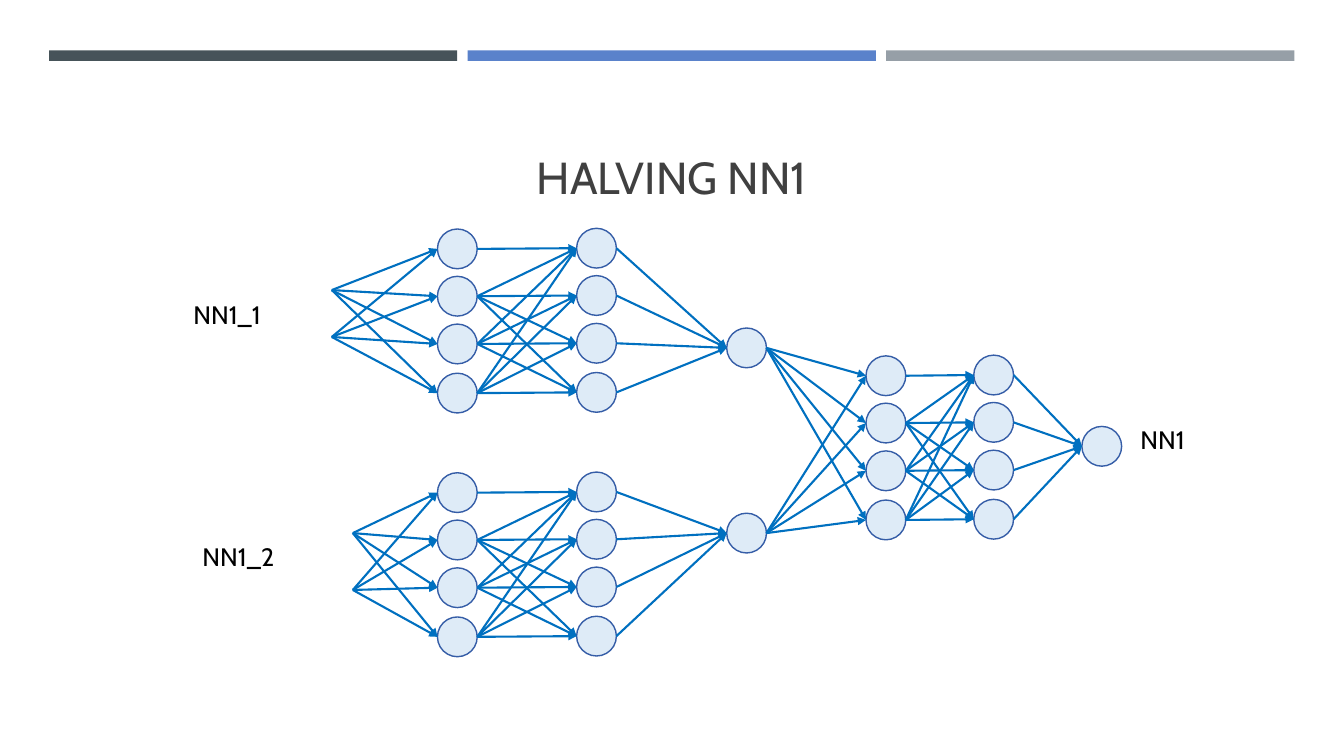
"""Builds a slide showing a neural network split into two half networks."""
from dataclasses import dataclass
from itertools import product

from lxml import etree
from pptx import Presentation
from pptx import util as u
from pptx.dml.color import RGBColor
from pptx.enum import shapes, text
from pptx.oxml.ns import qn


@dataclass(frozen=True)
class Theme:
    font: str = "Cabin"
    title_size: float = 32
    label_size: float = 18
    title_color: str = "404040"
    label_color: str = "000000"
    bars: tuple = ("465359", "5A82CB", "969FA7")
    node_fill: str = "DEEBF7"
    node_line: str = "355DA7"
    node_width: float = 1
    arrow_color: str = "0070C0"
    arrow_width: float = 1.5


@dataclass(frozen=True)
class Node:
    x: float
    y: float
    radius: float = 14.2


def rgb(value):
    return RGBColor.from_string(value)


def write_text(frame, content, *, font, size, color, align=text.PP_ALIGN.LEFT,
               anchor=text.MSO_ANCHOR.TOP):
    frame.word_wrap = True
    frame.auto_size = text.MSO_AUTO_SIZE.NONE
    frame.vertical_anchor = anchor
    paragraph = frame.paragraphs[0]
    paragraph.alignment = align
    run = paragraph.add_run()
    run.text = content
    run.font.name = font
    run.font.size = u.Pt(size)
    run.font.color.rgb = rgb(color)


class NetworkSlide:
    def __init__(self, slide, theme):
        self.slide = slide
        self.theme = theme

    def title(self, content, left, top, width, height):
        shape = self.slide.shapes.title
        shape.left, shape.top = u.Pt(left), u.Pt(top)
        shape.width, shape.height = u.Pt(width), u.Pt(height)
        write_text(shape.text_frame, content, font=self.theme.font,
                   size=self.theme.title_size, color=self.theme.title_color,
                   align=text.PP_ALIGN.CENTER, anchor=text.MSO_ANCHOR.BOTTOM)

    def label(self, content, left, top):
        shape = self.slide.shapes.add_textbox(
            u.Pt(left), u.Pt(top), u.Pt(70.5), u.Pt(29))
        write_text(shape.text_frame, content, font=self.theme.font,
                   size=self.theme.label_size, color=self.theme.label_color)

    def filled(self, kind, left, top, width, height, fill):
        shape = self.slide.shapes.add_shape(
            kind, u.Pt(left), u.Pt(top), u.Pt(width), u.Pt(height))
        shape.shadow.inherit = False
        shape.fill.solid()
        shape.fill.fore_color.rgb = rgb(fill)
        return shape

    def bar(self, left, top, width, height, fill):
        shape = self.filled(shapes.MSO_SHAPE.RECTANGLE, left, top, width, height, fill)
        shape.line.fill.background()

    def circle(self, node):
        shape = self.filled(shapes.MSO_SHAPE.OVAL, node.x - node.radius,
                            node.y - node.radius, 2 * node.radius,
                            2 * node.radius, self.theme.node_fill)
        shape.line.color.rgb = rgb(self.theme.node_line)
        shape.line.width = u.Pt(self.theme.node_width)

    def arrow(self, source, target):
        connector = self.slide.shapes.add_connector(
            shapes.MSO_CONNECTOR.STRAIGHT,
            u.Pt(source.x + source.radius), u.Pt(source.y),
            u.Pt(target.x - target.radius), u.Pt(target.y))
        connector.line.color.rgb = rgb(self.theme.arrow_color)
        connector.line.width = u.Pt(self.theme.arrow_width)
        properties = connector._element.spPr
        etree.SubElement(properties.find(qn("a:ln")), qn("a:tailEnd"), type="triangle")
        etree.SubElement(properties, qn("a:effectLst"))

    def connect(self, sources, targets):
        for source, target in product(sources, targets):
            self.arrow(source, target)

    def hidden_layers(self, first_x, second_x, top):
        offsets = (0, 33.8, 67.9, 103)
        first = [Node(first_x, top + offset) for offset in offsets]
        second = [Node(second_x, top - 0.5 + offset) for offset in offsets]
        for node in first + second:
            self.circle(node)
        self.arrow(first[0], second[0])
        self.connect(first[1:], second)
        return first, second

    def network(self, inputs, first_x, second_x, top, output):
        first, second = self.hidden_layers(first_x, second_x, top)
        self.circle(output)
        self.connect(inputs, first)
        self.connect(second, [output])


def main():
    presentation = Presentation()
    presentation.slide_width, presentation.slide_height = u.Pt(960), u.Pt(540)
    theme = Theme()
    slide = presentation.slides.add_slide(presentation.slide_layouts[5])
    page = NetworkSlide(slide, theme)

    for index, color in enumerate(theme.bars):
        page.bar(35 + 299 * index, 36, 291.6, 7.5, color)
    page.title("HALVING NN1", 46, 55.4, 868, 93.6)

    upper_output, lower_output = Node(533.3, 248.5), Node(533.3, 380.8)
    upper_inputs = [Node(237, y, 0) for y in (207.2, 240.7)]
    lower_inputs = [Node(252, y, 0) for y in (380.8, 421.4)]
    page.network(upper_inputs, 326.7, 426.1, 177.8, upper_output)
    page.network(lower_inputs, 326.7, 426.1, 351.9, lower_output)
    page.network([upper_output, lower_output], 632.8, 709.8, 268.4, Node(787, 318.8))

    for content, left, top in (("NN1_1", 131, 210.5), ("NN1_2", 137.5, 383.3),
                               ("NN1", 807.5, 299.5)):
        page.label(content, left, top)
    presentation.save("out.pptx")


if __name__ == "__main__":
    main()
